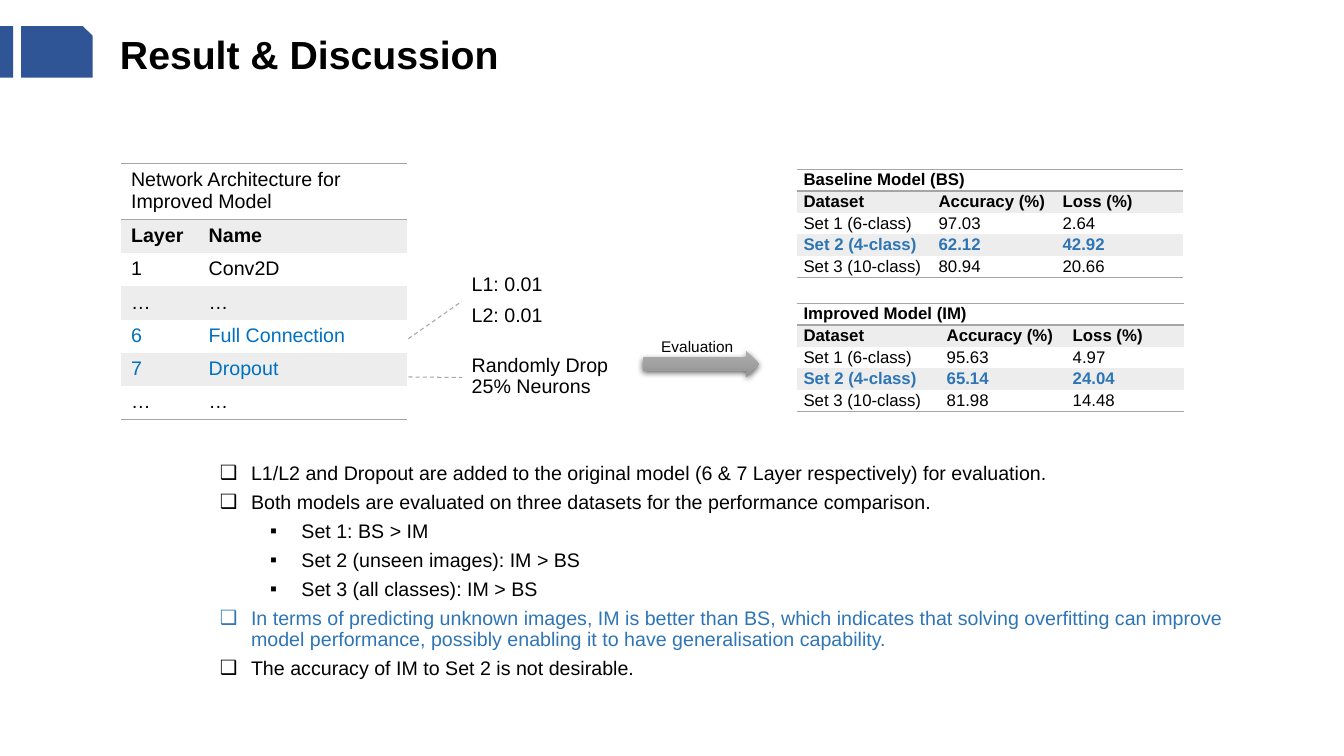
import lxml.etree
import pptx
import pptx.dml.color
import pptx.enum.dml
import pptx.enum.shapes
import pptx.enum.text
import pptx.oxml
import pptx.oxml.ns
import pptx.util

Inches, Pt = pptx.util.Inches, pptx.util.Pt
SHAPE = pptx.enum.shapes.MSO_SHAPE
ALIGN = pptx.enum.text.PP_ALIGN
QN = pptx.oxml.ns.qn
NS = pptx.oxml.ns.nsdecls("a")
PLAIN = "{2D5ABB26-0587-4C30-8999-92F81FD0307C}"
BLACK, NAVY, BLUE, AZURE = "000000", "2F5597", "2E75B6", "0070C0"
GREY, BAND = "A5A5A5", "EDEDED"


def color(code):
    return pptx.dml.color.RGBColor.from_string(code)


def style(para, size, code=BLACK, bold=False):
    font = para.font
    font.name, font.size, font.bold = "Arial", Pt(size), bold
    font.color.rgb = color(code)


def space(para, line, after):
    para.line_spacing = line
    para.space_before, para.space_after = Pt(0), Pt(after)


def place(shape, x, y, w, h):
    shape.left, shape.top = Inches(x), Inches(y)
    shape.width, shape.height = Inches(w), Inches(h)


def add_tab(slide, x, w, snip):
    tab = slide.shapes.add_shape(SHAPE.SNIP_1_RECTANGLE, Inches(x), Inches(0.26),
                                 Inches(w), Inches(0.51))
    tab.adjustments[0] = snip
    tab.shadow.inherit = False
    tab.fill.solid()
    tab.fill.fore_color.rgb = color(NAVY)
    tab.line.fill.background()


def add_text(slide, box, lines, size=14, line=0.9, after=5.5):
    label = slide.shapes.add_textbox(*map(Inches, box))
    frame = label.text_frame
    frame.word_wrap = True
    frame.text = "\n".join(lines)
    for para in frame.paragraphs:
        style(para, size)
        space(para, line, after)
    return label


def add_edge(cell, tags):
    props = cell._tc.get_or_add_tcPr()
    for spot, tag in enumerate(tags):
        props.insert(spot, pptx.oxml.parse_xml(
            f'<a:{tag} {NS} w="12700"><a:solidFill><a:srgbClr val="{GREY}"/>'
            f'</a:solidFill></a:{tag}>'))


def add_grid(slide, x, y, cols, heights, rows, size, accent, marked, tight=False):
    """Table with a merged heading, a bold second row and grey bands."""
    frame = slide.shapes.add_table(len(rows), len(cols), Inches(x), Inches(y),
                                   Inches(sum(cols)), Inches(sum(heights)))
    table = frame.table
    table.first_row = table.horz_banding = False
    table._tbl.tblPr.find(QN("a:tableStyleId")).text = PLAIN
    for col, width in zip(table.columns, cols):
        col.width = Inches(width)
    for row, height in zip(table.rows, heights):
        row.height = Inches(height)
    table.cell(0, 0).merge(table.cell(0, len(cols) - 1))
    last = len(rows) - 1
    for r, row in enumerate(rows):
        for c in range(len(cols)):
            cell = table.cell(r, c)
            cell.text = row[c] if c < len(row) else ""
            if tight:
                cell.margin_left = cell.margin_right = Inches(0.07)
                cell.margin_top = cell.margin_bottom = Inches(0)
            for para in cell.text_frame.paragraphs:
                hot = r in marked
                bold = r == 1 or tight and (r == 0 or hot)
                style(para, size, accent if hot else BLACK, bold)
                if tight:
                    para.alignment = ALIGN.JUSTIFY
                    space(para, 1.07, 8)
            if r % 2:
                cell.fill.solid()
                cell.fill.fore_color.rgb = color(BAND)
            else:
                cell.fill.background()
            if r in (0, last):
                add_edge(cell, ("lnT", "lnB") if r == 0 else ("lnB",))


def add_score(slide, y, cols, name, scores):
    sets = ("Set 1 (6-class)", "Set 2 (4-class)", "Set 3 (10-class)")
    rows = [(name,), ("Dataset", "Accuracy (%)", "Loss (%)")]
    rows += [(label, *pair) for label, pair in zip(sets, scores)]
    add_grid(slide, 7.9, y, cols, [0.21] * 5, rows, 12, BLUE, (3,), tight=True)


def add_link(slide, y, label):
    """Dashed line from the layer table to the left side of a label."""
    link = slide.shapes.add_connector(pptx.enum.shapes.MSO_CONNECTOR.STRAIGHT,
                                      Inches(4.05), Inches(y), Inches(4.58), Inches(y))
    link.end_connect(label, 1)
    link.line.color.rgb = color("A6A6A6")
    link.line.width = Pt(0.75)
    link.line.dash_style = pptx.enum.dml.MSO_LINE.DASH
    lxml.etree.SubElement(link._element.spPr, QN("a:effectLst"))


def add_arrow(slide):
    arrow = slide.shapes.add_shape(SHAPE.RIGHT_ARROW, Inches(6.38), Inches(3.48),
                                   Inches(1.15), Inches(0.26))
    arrow.line.fill.background()
    arrow.fill.gradient()
    arrow.fill.gradient_angle = 270
    for stop, code, at in zip(arrow.fill.gradient_stops, ("AFAFAF", "939393"), (0, 1)):
        stop.color.rgb = color(code)
        stop.position = at
    arrow.shadow.inherit = False
    arrow._element.spPr.find(QN("a:effectLst")).append(pptx.oxml.parse_xml(
        f'<a:outerShdw {NS} blurRad="57150" dist="19050" dir="5400000" algn="ctr" '
        'rotWithShape="0"><a:srgbClr val="000000"><a:alpha val="63000"/>'
        '</a:srgbClr></a:outerShdw>'))


def fill_title(title):
    place(title, 1.09, 0.25, 4.17, 0.57)
    title.text_frame.text = "Result & Discussion"
    para = title.text_frame.paragraphs[0]
    para.alignment = ALIGN.LEFT
    style(para, 28, bold=True)


def fill_list(body, items):
    place(body, 2.08, 4.55, 10.2, 2.29)
    frame = body.text_frame
    frame.auto_size = pptx.enum.text.MSO_AUTO_SIZE.NONE
    frame.text = "\n".join(text for text, _, _ in items)
    for para, (_, level, code) in zip(frame.paragraphs, items):
        para.level = level
        style(para, 14, code)
        space(para, 0.9, 5.5)
        props = para._p.get_or_add_pPr()
        props.set("marL", str(Inches(0.31 + 0.5 * level)))
        props.set("indent", str(Inches(-0.31)))
        mark = lxml.etree.SubElement(props, QN("a:buChar"))
        mark.set("char", "❑▪"[level])
        props.append(props.find(QN("a:defRPr")))


def main():
    deck = pptx.Presentation()
    deck.slide_width, deck.slide_height = Inches(13.33), Inches(7.5)
    slide = deck.slides.add_slide(deck.slide_layouts[1])

    # Heading
    add_tab(slide, 0.21, 0.71, 0.19)
    add_tab(slide, 0, 0.13, 0)
    fill_title(slide.shapes.title)

    # Layers and their settings
    layers = [("Network Architecture for\nImproved Model",), ("Layer", "Name"),
              ("1", "Conv2D"), ("…", "…"), ("6", "Full Connection"),
              ("7", "Dropout"), ("…", "…")]
    add_grid(slide, 1.2, 1.62, (0.77, 2.07), [0.56] + [0.33] * 6, layers, 14,
             AZURE, (4, 5))
    rates = add_text(slide, (4.58, 2.67, 0.93, 0.64), ("L1: 0.01", "L2: 0.01"), after=7.5)
    drop = add_text(slide, (4.58, 3.48, 1.68, 0.53), ("Randomly Drop 25% Neurons",))
    add_link(slide, 3.36, rates)
    add_link(slide, 3.74, drop)

    # Evaluation and scores
    add_arrow(slide)
    add_text(slide, (6.46, 3.3, 1.44, 0.29), ("Evaluation",), 11, 1, 0)
    add_score(slide, 1.68, (1.34, 1.23, 1.26), "Baseline Model (BS)",
              (("97.03", "2.64"), ("62.12", "42.92"), ("80.94", "20.66")))
    add_score(slide, 3.01, (1.42, 1.25, 1.17), "Improved Model (IM)",
              (("95.63", "4.97"), ("65.14", "24.04"), ("81.98", "14.48")))

    # Findings
    fill_list(slide.placeholders[1], (
        ("L1/L2 and Dropout are added to the original model (6 & 7 Layer respectively) "
         "for evaluation.", 0, BLACK),
        ("Both models are evaluated on three datasets for the performance comparison.",
         0, BLACK),
        ("Set 1: BS > IM", 1, BLACK),
        ("Set 2 (unseen images): IM > BS", 1, BLACK),
        ("Set 3 (all classes): IM > BS", 1, BLACK),
        ("In terms of predicting unknown images, IM is better than BS, which indicates "
         "that solving overfitting can improve model performance, possibly enabling it "
         "to have generalisation capability.", 0, BLUE),
        ("The accuracy of IM to Set 2 is not desirable.", 0, BLACK)))

    deck.save("out.pptx")


if __name__ == "__main__":
    main()
